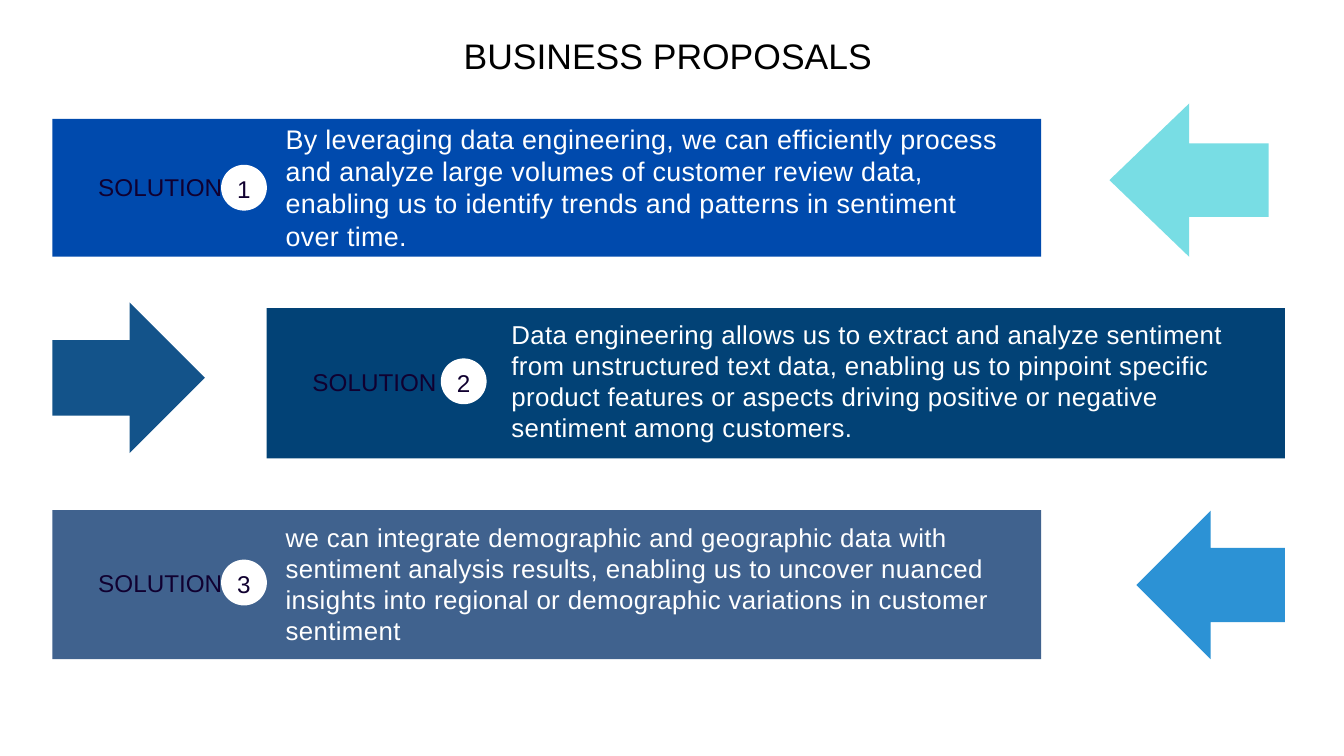
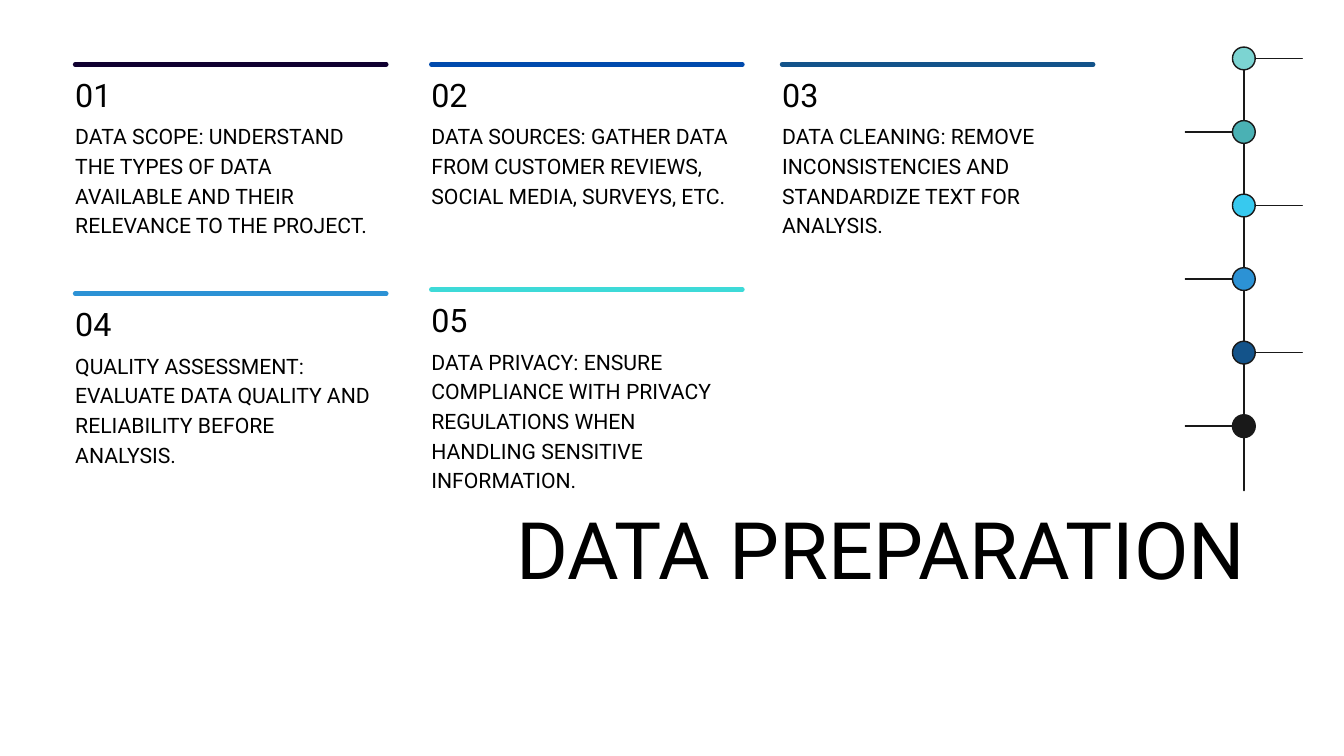
from dataclasses import dataclass

from pptx import Presentation
from pptx.dml.color import RGBColor
from pptx.enum.shapes import MSO_CONNECTOR, MSO_SHAPE
from pptx.enum.text import MSO_ANCHOR, PP_ALIGN
from pptx.oxml.ns import qn
from pptx.util import Pt
from lxml import etree

RECTANGLE, OVAL = MSO_SHAPE.RECTANGLE, MSO_SHAPE.OVAL
LEFT_ARROW, RIGHT_ARROW = MSO_SHAPE.LEFT_ARROW, MSO_SHAPE.RIGHT_ARROW
STRAIGHT = MSO_CONNECTOR.STRAIGHT
MIDDLE = MSO_ANCHOR.MIDDLE
LEFT, CENTER, RIGHT = PP_ALIGN.LEFT, PP_ALIGN.CENTER, PP_ALIGN.RIGHT

# Shared colours and fonts
BLACK, WHITE, INK = "000000", "FFFFFF", "191919"
NIGHT, ROYAL, OCEAN, SKY = "100030", "004AAD", "13538A", "2C92D5"
ARIAL, ROBOTO = "Arial", "Roboto"


@dataclass(frozen=True)
class Style:
    font: str
    size: float
    line_spacing: float
    color: str = BLACK
    alignment: PP_ALIGN = LEFT
    tracking: int = 0  # hundredths of a point


@dataclass(frozen=True)
class Box:
    left: float
    top: float
    width: float
    height: float

    def lengths(self) -> tuple:
        return Pt(self.left), Pt(self.top), Pt(self.width), Pt(self.height)


@dataclass(frozen=True)
class Solution:
    number: str
    band: Box
    fill: str
    badge_left: float
    badge_top: float
    body: Box
    body_style: Style
    text: str


@dataclass(frozen=True)
class Arrow:
    kind: MSO_SHAPE
    box: Box
    fill: str
    shaft: float = 0.5
    head: float = 0.5


@dataclass(frozen=True)
class Step:
    number: str
    left: float
    top: float
    color: str
    text: str
    text_width: float = 318.2


LABEL = Style(ARIAL, 26, 31.2, NIGHT)
BADGE = Style(ARIAL, 26, 36.4, NIGHT, CENTER)
BODY_LARGE = Style(ARIAL, 28.8, 34.6, WHITE, tracking=40)
BODY = Style(ARIAL, 27.7, 33.2, WHITE, tracking=40)
PROPOSALS_TITLE = Style(ARIAL, 38, 49.4)
PREPARATION_TITLE = Style(ROBOTO, 84.9, 101.8, alignment=RIGHT)
STEP_NUMBER = Style(ROBOTO, 34.6, 44.9)
STEP_TEXT = Style(ROBOTO, 22.7, 31.8)

BADGE_SIZE = 49.1
SOLUTIONS = [
    Solution("1", Box(56.2, 127.4, 1059.4, 147.6), ROYAL, 236.9, 176.6,
             Box(306, 131, 770.4, 139), BODY_LARGE,
             "By leveraging data engineering, we can efficiently process and analyze "
             "large volumes of customer review data, enabling us to identify trends "
             "and patterns in sentiment over time."),
    Solution("2", Box(285.8, 330, 1090.8, 161.2), "024276", 472.3, 384,
             Box(547.9, 341.3, 792, 133), BODY,
             "Data engineering allows us to extract and analyze sentiment from "
             "unstructured text data, enabling us to pinpoint specific product features "
             "or aspects driving positive or negative sentiment among customers."),
    Solution("3", Box(56.2, 546.5, 1059.4, 159.8), "40628E", 236.9, 599.6,
             Box(306, 559.4, 755.3, 132.5), BODY,
             "we can integrate demographic and geographic data with sentiment analysis "
             "results, enabling us to uncover nuanced insights into regional or "
             "demographic variations in customer sentiment"),
]
ARROWS = [
    Arrow(RIGHT_ARROW, Box(56.2, 324, 163.4, 161.6), OCEAN),
    Arrow(LEFT_ARROW, Box(1188.7, 110.9, 170.6, 164.2), "78DDE4", 0.48, 0.52),
    Arrow(LEFT_ARROW, Box(1217.5, 547.2, 159.1, 159.1), SKY),
]

COLUMNS = (80.6, 462.2, 838)
RULE_LENGTH = 333.2
STEPS = [
    Step("01", COLUMNS[0], 69, NIGHT, "DATA SCOPE: UNDERSTAND THE TYPES OF DATA "
         "AVAILABLE AND THEIR RELEVANCE TO THE PROJECT."),
    Step("04", COLUMNS[0], 314.7, SKY, "QUALITY ASSESSMENT: EVALUATE DATA QUALITY AND "
         "RELIABILITY BEFORE ANALYSIS."),
    Step("02", COLUMNS[1], 69, ROYAL, "DATA SOURCES: GATHER DATA FROM CUSTOMER REVIEWS, "
         "SOCIAL MEDIA, SURVEYS, ETC.", RULE_LENGTH),
    Step("05", COLUMNS[1], 310.3, "3EDAD8", "DATA PRIVACY: ENSURE COMPLIANCE WITH PRIVACY "
         "REGULATIONS WHEN HANDLING SENSITIVE INFORMATION."),
    Step("03", COLUMNS[2], 69, OCEAN, "DATA CLEANING: REMOVE INCONSISTENCIES AND "
         "STANDARDIZE TEXT FOR ANALYSIS."),
]

TIMELINE_X, TIMELINE_TOP, TIMELINE_END = 1332.7, 62.6, 525.6
NODE_GAP, NODE_RADIUS, BRANCH_LENGTH = 78.8, 12.2, 50.4
NODE_COLORS = ["7CD4D2", "4AB1B4", "37C9EF", SKY, OCEAN, INK]


def rgb(color: str) -> RGBColor:
    return RGBColor.from_string(color)


def write(shape, text: str, style: Style, margins=(0, 0, 0, 0)) -> None:
    """Fill a shape with one paragraph; margins are left, top, right, bottom."""
    frame = shape.text_frame
    frame.word_wrap = True
    (frame.margin_left, frame.margin_top,
     frame.margin_right, frame.margin_bottom) = map(Pt, margins)
    paragraph = frame.paragraphs[0]
    paragraph.alignment = style.alignment
    paragraph.line_spacing = Pt(style.line_spacing)
    run = paragraph.add_run()
    run.text = text
    run.font.name = style.font
    run.font.size = Pt(style.size)
    run.font.color.rgb = rgb(style.color)
    if style.tracking:
        run.font._element.set("spc", str(style.tracking))


def add_text(slide, box: Box, text: str, style: Style) -> None:
    write(slide.shapes.add_textbox(*box.lengths()), text, style)


def add_filled(slide, kind: MSO_SHAPE, box: Box, fill: str, outline: str = ""):
    shape = slide.shapes.add_shape(kind, *box.lengths())
    shape.shadow.inherit = False
    shape.fill.solid()
    shape.fill.fore_color.rgb = rgb(fill)
    if outline:
        shape.line.color.rgb = rgb(outline)
        shape.line.width = Pt(1.5)
    else:
        shape.line.fill.background()
    shape.text_frame.vertical_anchor = MIDDLE
    return shape


def add_line(slide, x1: float, y1: float, x2: float, y2: float,
             color: str = INK, width: float = 1.5) -> None:
    line = slide.shapes.add_connector(STRAIGHT, Pt(x1), Pt(y1), Pt(x2), Pt(y2))
    line.line.color.rgb = rgb(color)
    line.line.width = Pt(width)
    properties = line._element.spPr
    properties.find(qn("a:ln")).set("cap", "rnd")
    etree.SubElement(properties, qn("a:effectLst"))


def add_solution(slide, solution: Solution) -> None:
    band = add_filled(slide, RECTANGLE, solution.band, solution.fill)
    write(band, "SOLUTION", LABEL, (49, 20, 20, 23))
    badge_box = Box(solution.badge_left, solution.badge_top, BADGE_SIZE, BADGE_SIZE)
    badge = add_filled(slide, OVAL, badge_box, WHITE)
    write(badge, solution.number, BADGE, (0, 0, 0, 3))
    add_text(slide, solution.body, solution.text, solution.body_style)


def add_arrow(slide, arrow: Arrow) -> None:
    shape = add_filled(slide, arrow.kind, arrow.box, arrow.fill)
    shape.adjustments[0] = arrow.shaft
    shape.adjustments[1] = arrow.head


def add_step(slide, step: Step) -> None:
    add_line(slide, step.left, step.top, step.left + RULE_LENGTH, step.top, step.color, 5)
    add_text(slide, Box(step.left, step.top + 8, 318.2, 43.2), step.number, STEP_NUMBER)
    add_text(slide, Box(step.left, step.top + 59, step.text_width, 156), step.text, STEP_TEXT)


def add_timeline(slide) -> None:
    for index, color in enumerate(NODE_COLORS):
        center = TIMELINE_TOP + index * NODE_GAP
        is_last = index == len(NODE_COLORS) - 1
        link_end = TIMELINE_END if is_last else center + NODE_GAP - NODE_RADIUS
        add_line(slide, TIMELINE_X, link_end, TIMELINE_X, center + NODE_RADIUS)
        node_box = Box(TIMELINE_X - NODE_RADIUS, center - NODE_RADIUS,
                       2 * NODE_RADIUS, 2 * NODE_RADIUS)
        add_filled(slide, OVAL, node_box, color, INK)
        # Branches alternate right and left
        side = 1 if index % 2 == 0 else -1
        start = TIMELINE_X + side * NODE_RADIUS
        add_line(slide, start, center, start + side * BRANCH_LENGTH, center)


def add_blank_slide(presentation):
    slide = presentation.slides.add_slide(presentation.slide_layouts[6])
    slide.background.fill.solid()
    slide.background.fill.fore_color.rgb = rgb(WHITE)
    return slide


def build_proposals(presentation) -> None:
    slide = add_blank_slide(presentation)
    for solution in SOLUTIONS:
        add_solution(slide, solution)
    for arrow in ARROWS:
        add_arrow(slide, arrow)
    add_text(slide, Box(496.8, 32.4, 446.4, 49), "BUSINESS PROPOSALS", PROPOSALS_TITLE)


def build_preparation(presentation) -> None:
    slide = add_blank_slide(presentation)
    add_text(slide, Box(515.5, 535.7, 818.6, 202.3), "DATA PREPARATION", PREPARATION_TITLE)
    for step in STEPS:
        add_step(slide, step)
    add_timeline(slide)


def main() -> None:
    presentation = Presentation()
    presentation.slide_width, presentation.slide_height = Pt(1440), Pt(810)
    build_proposals(presentation)
    build_preparation(presentation)
    presentation.save("out.pptx")


if __name__ == "__main__":
    main()
